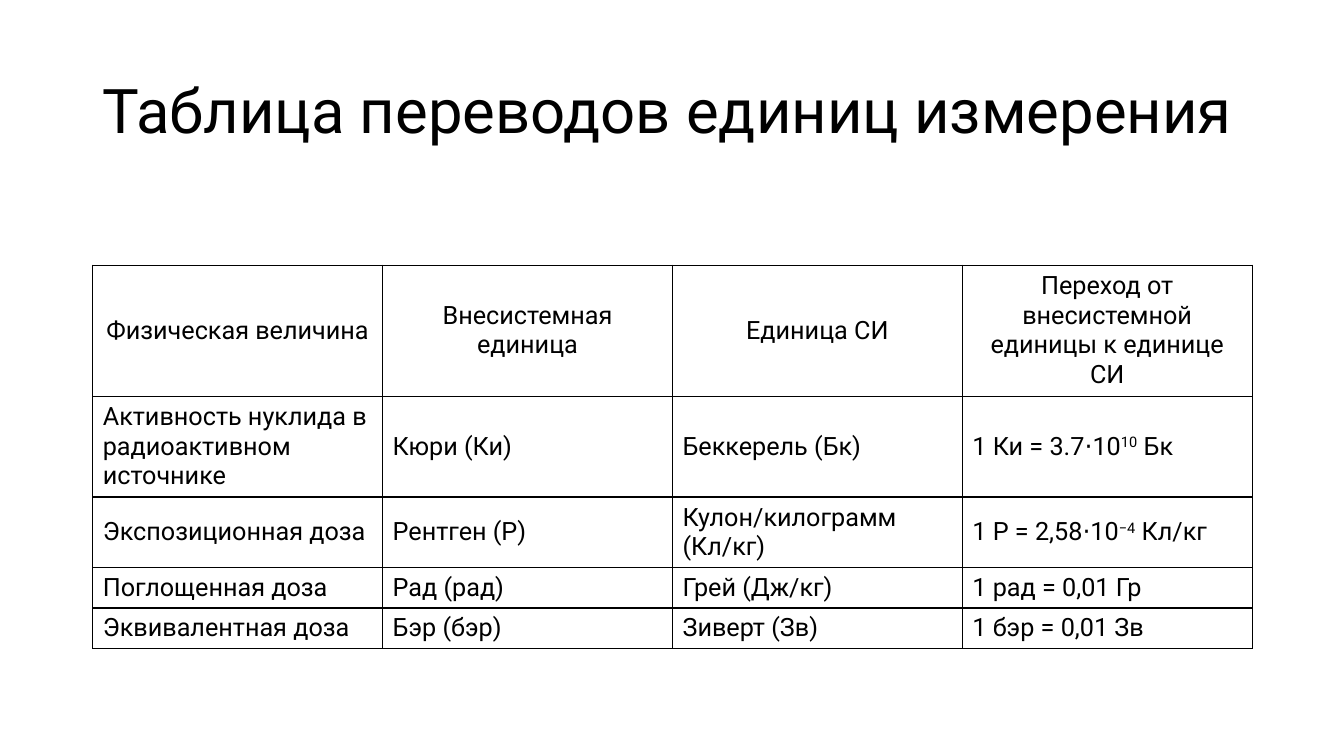
from lxml import etree
from pptx import Presentation
from pptx import util as u
from pptx.dml.color import RGBColor
from pptx.enum import text
from pptx.oxml import ns

COLORS = {"ink": "000000", "paper": "FFFFFF"}
FONT = "Roboto"
LEFT, WIDTH = 0.92, 11.5
ROW_HEIGHTS = [1.28, 0.97, 0.7, 0.39, 0.39]
ROWS = [
    ["Физическая величина", "Внесистемная единица", "Единица СИ",
     "Переход от внесистемной единицы к единице СИ"],
    ["Активность нуклида в радиоактивном источнике", "Кюри (Ки)",
     "Беккерель (Бк)", "1 Ки = 3.7⋅10^10^ Бк"],
    ["Экспозиционная доза", "Рентген (Р)", "Кулон/килограмм (Кл/кг)",
     "1 Р = 2,58⋅10^−4^ Кл/кг"],
    ["Поглощенная доза", "Рад (рад)", "Грей (Дж/кг)", "1 рад = 0,01 Гр"],
    ["Эквивалентная доза", "Бэр (бэр)", "Зиверт (Зв)", "1 бэр = 0,01 Зв"],
]


def write(para, words, size):
    for index, part in enumerate(words.split("^")):
        span = para.add_run()
        span.text = part
        span.font.name = FONT
        span.font.size = u.Pt(size)
        span.font.color.rgb = RGBColor.from_string(COLORS["ink"])
        if index % 2:
            span.font._element.set("baseline", "30000")


def add_borders(cell):
    properties = cell._tc.get_or_add_tcPr()
    for side in ("lnL", "lnR", "lnT", "lnB"):
        line = etree.SubElement(properties, ns.qn(f"a:{side}"), w=str(u.Pt(1)))
        fill = etree.SubElement(line, ns.qn("a:solidFill"))
        etree.SubElement(fill, ns.qn("a:srgbClr"), val=COLORS["ink"])


deck = Presentation()
deck.slide_width = u.Inches(13.33)
deck.slide_height = u.Inches(7.5)
page = deck.slides.add_slide(deck.slide_layouts[6])
page.background.fill.solid()
page.background.fill.fore_color.rgb = RGBColor.from_string(COLORS["paper"])

title = page.shapes.add_textbox(u.Inches(LEFT), u.Inches(0.4), u.Inches(WIDTH), u.Inches(1.45))
title.text_frame.word_wrap = True
title.text_frame.vertical_anchor = text.MSO_ANCHOR.MIDDLE
title.text_frame.paragraphs[0].line_spacing = 0.9
write(title.text_frame.paragraphs[0], "Таблица переводов единиц измерения", 44)

table = page.shapes.add_table(
    len(ROWS), len(ROWS[0]), u.Inches(LEFT), u.Inches(2.63),
    u.Inches(WIDTH), u.Inches(sum(ROW_HEIGHTS))).table
table.first_row = False
table.horz_banding = False

for row_index, row in enumerate(ROWS):
    table.rows[row_index].height = u.Inches(ROW_HEIGHTS[row_index])
    for column_index, words in enumerate(row):
        cell = table.cell(row_index, column_index)
        add_borders(cell)
        cell.fill.background()
        cell.vertical_anchor = text.MSO_ANCHOR.MIDDLE
        para = cell.text_frame.paragraphs[0]
        para.alignment = text.PP_ALIGN.LEFT if row_index else text.PP_ALIGN.CENTER
        write(para, words, 18)

deck.save("out.pptx")
